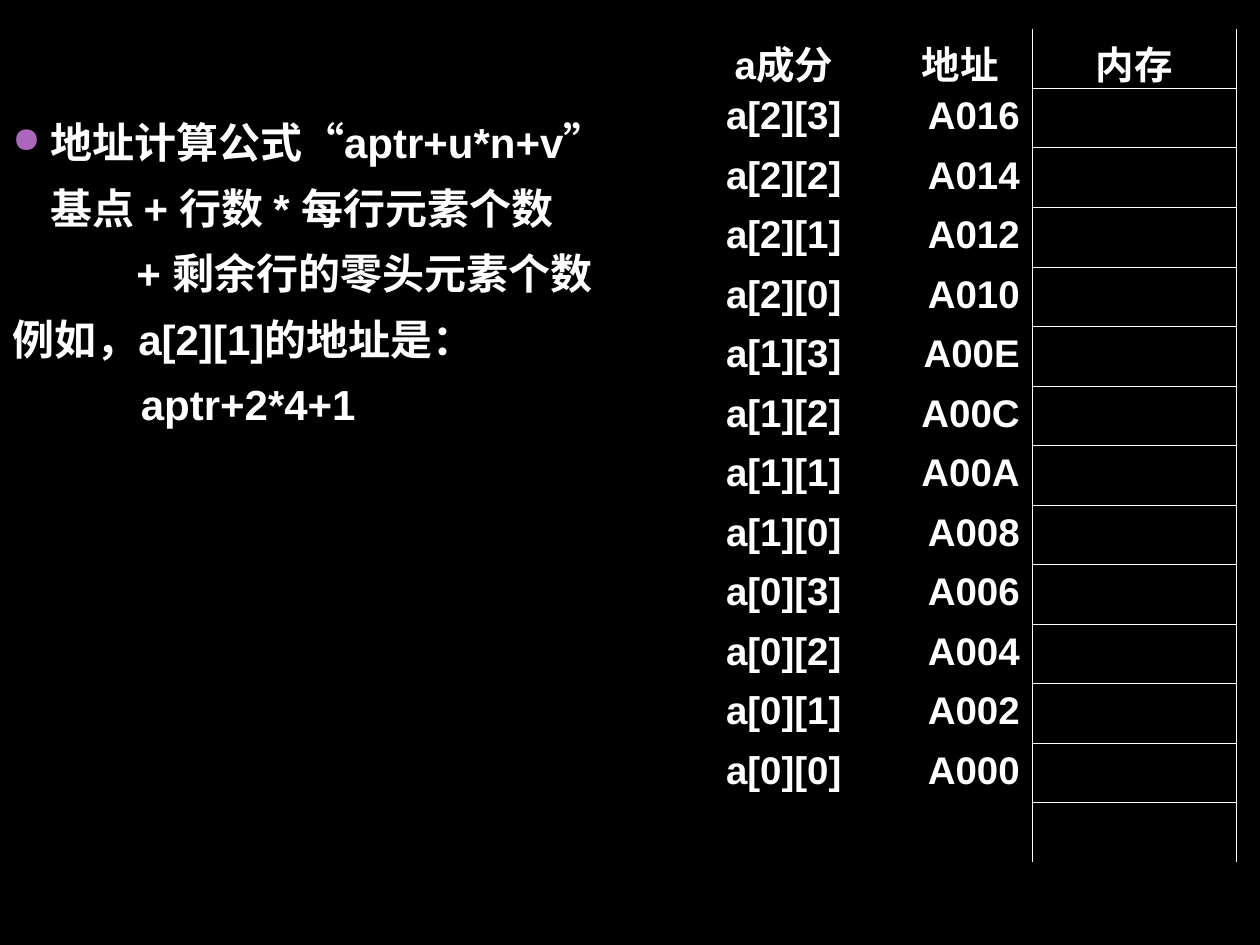
from pptx import Presentation
from pptx.util import Cm, Pt
from pptx.dml.color import RGBColor
from pptx.enum.lang import MSO_LANGUAGE_ID
from pptx.enum.text import PP_ALIGN
from lxml.etree import SubElement
from pptx.oxml.ns import qn

THEME = {
    "font": "Arial",
    "background": "000000",
    "text": "FFFFFF",
    "grid": "FFFFFF",
    "bullet": "AC66BB",
    "formula_size": 24,
    "memory_size": 22,
    "grid_width": 0.45,
}

FORMULA_LINES = [
    {"text": "地址计算公式“aptr+u*n+v”", "margin": 0.76, "hanging": 0.76, "bullet": "●"},
    {"text": "基点 + 行数 * 每行元素个数", "margin": 0.76},
    {"text": "+ 剩余行的零头元素个数", "margin": 2.5},
    {"text": "例如，a[2][1]的地址是：", "margin": 0.76, "hanging": 0.76},
    {"text": "aptr+2*4+1", "margin": 2.59},
]
HEADINGS = ["a成分", "地址", "内存"]
ROW_COUNT, COLUMN_COUNT, ELEMENT_BYTES = 3, 4, 2
BASE_ADDRESS = 0xA000

COLUMN_WIDTHS = [4.22, 2.9, 4.11]
ROW_HEIGHT = 1.2


def write(paragraph, text, size, align=PP_ALIGN.LEFT, margin=0, hanging=0,
          bullet=None, spacing=None):
    properties = paragraph._p.get_or_add_pPr()
    properties.set("marL", str(Cm(margin)))
    properties.set("indent", str(-Cm(hanging)))
    if spacing:
        paragraph.line_spacing = spacing
    paragraph.alignment = align
    if bullet:
        color = SubElement(properties, qn("a:buClr"))
        SubElement(color, qn("a:srgbClr"), val=THEME["bullet"])
        SubElement(properties, qn("a:buSzPct"), val="85000")
        SubElement(properties, qn("a:buChar"), char=bullet)
    else:
        SubElement(properties, qn("a:buNone"))
    run = paragraph.add_run()
    run.text = text
    run.font.name = THEME["font"]
    run.font.size = Pt(size)
    run.font.bold = True
    run.font.color.rgb = RGBColor.from_string(THEME["text"])
    run.font.language_id = MSO_LANGUAGE_ID.SIMPLIFIED_CHINESE


def set_borders(cell, sides):
    properties = cell._tc.get_or_add_tcPr()
    for side in "LRTB":
        line = SubElement(properties, qn(f"a:ln{side}"), w=str(Pt(THEME["grid_width"])))
        if side in sides:
            fill = SubElement(line, qn("a:solidFill"))
            SubElement(fill, qn("a:srgbClr"), val=THEME["grid"])
        else:
            SubElement(line, qn("a:noFill"))
    cell.fill.background()


def memory_rows():
    offsets = reversed(range(ROW_COUNT * COLUMN_COUNT))
    elements = [
        [f"a[{offset // COLUMN_COUNT}][{offset % COLUMN_COUNT}]",
         f"{BASE_ADDRESS + offset * ELEMENT_BYTES:X}", ""]
        for offset in offsets
    ]
    return [HEADINGS, *elements, ["", "", ""]]


def add_formula(slide):
    box = slide.shapes.add_textbox(Cm(0), Cm(1.93), Cm(15.09), Cm(7.21))
    frame = box.text_frame
    frame.word_wrap = True
    for index, line in enumerate(FORMULA_LINES):
        paragraph = frame.add_paragraph() if index else frame.paragraphs[0]
        write(paragraph, size=THEME["formula_size"], spacing=1.3, **line)


def add_memory(slide):
    rows = memory_rows()
    last = len(rows) - 1
    table = slide.shapes.add_table(
        len(rows), len(HEADINGS), Cm(13.69), Cm(0.58),
        Cm(sum(COLUMN_WIDTHS)), Cm(ROW_HEIGHT * len(rows))).table
    table.first_row = False
    table.horz_banding = False
    for column, width in zip(table.columns, COLUMN_WIDTHS):
        column.width = Cm(width)
    for row_index, row in enumerate(rows):
        table.rows[row_index].height = Cm(ROW_HEIGHT)
        memory_sides = "LR" + ("T" if row_index > 0 else "") + ("B" if row_index < last else "")
        for column_index, (text, sides) in enumerate(zip(row, ["", "R", memory_sides])):
            cell = table.cell(row_index, column_index)
            set_borders(cell, sides)
            if text:
                is_address = column_index == 1 and row_index > 0
                write(cell.text_frame.paragraphs[0], text, THEME["memory_size"],
                      align=PP_ALIGN.RIGHT if is_address else PP_ALIGN.CENTER)


def main():
    presentation = Presentation()
    presentation.slide_width, presentation.slide_height = Cm(25.4), Cm(19.05)
    slide = presentation.slides.add_slide(presentation.slide_layouts[6])
    slide.background.fill.solid()
    slide.background.fill.fore_color.rgb = RGBColor.from_string(THEME["background"])
    add_formula(slide)
    add_memory(slide)
    presentation.save("out.pptx")


if __name__ == "__main__":
    main()
